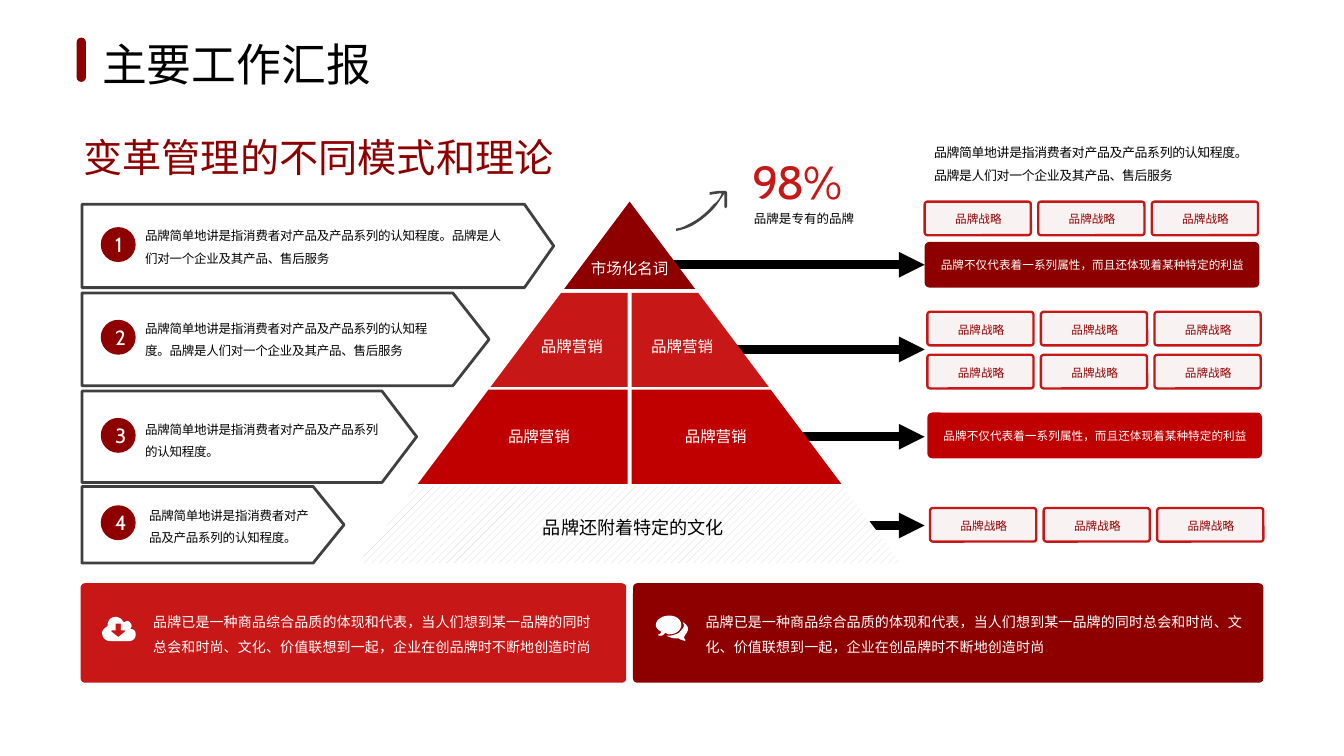
from typing import NamedTuple

from lxml import etree
from pptx import Presentation
from pptx.dml.color import RGBColor
from pptx.enum.dml import MSO_PATTERN
from pptx.enum.shapes import MSO_CONNECTOR, MSO_SHAPE
from pptx.enum.text import MSO_ANCHOR, MSO_AUTO_SIZE, PP_ALIGN
from pptx.oxml.ns import qn
from pptx.util import Inches, Pt

ROUNDED, CHEVRON, OVAL = MSO_SHAPE.ROUNDED_RECTANGLE, MSO_SHAPE.PENTAGON, MSO_SHAPE.OVAL
LEFT, CENTER = PP_ALIGN.LEFT, PP_ALIGN.CENTER
TOP, MIDDLE = MSO_ANCHOR.TOP, MSO_ANCHOR.MIDDLE
FIT, FIXED = MSO_AUTO_SIZE.SHAPE_TO_FIT_TEXT, MSO_AUTO_SIZE.NONE
DARK, RED, BRIGHT, WHITE, BLACK = "8E0000", "C00000", "C71717", "FFFFFF", "000000"
NORMAL, TIGHT = (0.07, 0.03), (0.02, 0.02)

SHORT_TEXT = "品牌简单地讲是指消费者对产品及产品系列的认知程度。"
LONG_TEXT = SHORT_TEXT + "品牌是人们对一个企业及其产品、售后服务"
SUMMARY = ("品牌已是一种商品综合品质的体现和代表，当人们想到某一品牌的同时"
           "总会和时尚、文化、价值联想到一起，企业在创品牌时不断地创造时尚")
BANNER_TEXT = "品牌不仅代表着一系列属性，而且还体现着某种特定的利益"


class Box(NamedTuple):
    left: float
    top: float
    width: float
    height: float


class Step(NamedTuple):
    box: Box
    point: float
    circle_top: float
    text_box: Box
    text: str


class Label(NamedTuple):
    text: str
    box: Box
    size: float = 8.3
    color: str = WHITE


class Panel(NamedTuple):
    box: Box
    color: str
    text_box: Box


STEPS = [
    Step(Box(0.61, 1.52, 3.51, 0.62), 0.351, 1.69, Box(1.01, 1.61, 2.81, 0.4), LONG_TEXT),
    Step(Box(0.61, 2.18, 3.03, 0.69), 0.391, 2.38, Box(1.01, 2.3, 2.33, 0.4), LONG_TEXT),
    Step(Box(0.61, 2.91, 2.49, 0.68), 0.379, 3.11, Box(1.01, 3.05, 1.91, 0.4), SHORT_TEXT),
    Step(Box(0.61, 3.62, 1.95, 0.57), 0.404, 3.76, Box(1.04, 3.69, 1.4, 0.4), SHORT_TEXT),
]
LABELS = [
    Label("市场化名词", Box(4.28, 1.9, 0.81, 0.24)),
    Label("品牌营销", Box(3.85, 2.48, 0.81, 0.24)),
    Label("品牌营销", Box(4.72, 2.48, 0.71, 0.24)),
    Label("品牌营销", Box(3.54, 3.15, 0.94, 0.22)),
    Label("品牌营销", Box(4.92, 3.15, 0.81, 0.22)),
    Label("品牌还附着特定的文化", Box(3.86, 3.81, 1.71, 0.24), 9.7, BLACK),
]
PANELS = [
    Panel(Box(0.6, 4.34, 4.06, 0.74), BRIGHT, Box(1.12, 4.48, 3.34, 0.4)),
    Panel(Box(4.71, 4.34, 4.69, 0.74), DARK, Box(5.23, 4.48, 4.04, 0.4)),
]
TAG_ROWS = [(6.88, 1.5), (6.9, 2.32), (6.9, 2.64), (6.92, 3.78)]

# Icon contours: points, or curves as (control, control, end)
CLOUD = [(0.96, 4.77), (0.82, 4.77), ((0.79, 4.77), (0.76, 4.75), (0.76, 4.71)),
         ((0.76, 4.69), (0.78, 4.67), (0.8, 4.66)), ((0.8, 4.62), (0.82, 4.59), (0.86, 4.59)),
         ((0.89, 4.59), (0.91, 4.61), (0.92, 4.63)), ((0.93, 4.63), (0.94, 4.62), (0.95, 4.62)),
         ((0.96, 4.62), (0.98, 4.64), (0.98, 4.66)), (0.97, 4.68),
         ((1, 4.68), (1.01, 4.7), (1.01, 4.72)), ((1.01, 4.75), (0.99, 4.77), (0.96, 4.77))]
DOWNLOAD = [(0.93, 4.69), (0.9, 4.69), (0.9, 4.64), (0.86, 4.64), (0.86, 4.69),
            (0.83, 4.69), (0.83, 4.7), (0.88, 4.74), (0.93, 4.7)]
FRONT_BUBBLE = [(4.98, 4.72), ((4.97, 4.72), (4.96, 4.71), (4.95, 4.71)),
                ((4.94, 4.72), (4.93, 4.73), (4.92, 4.73)), (4.9, 4.73), (4.9, 4.72),
                ((4.91, 4.72), (4.92, 4.71), (4.92, 4.7)), ((4.9, 4.69), (4.88, 4.67), (4.88, 4.65)),
                ((4.88, 4.61), (4.93, 4.58), (4.98, 4.58)), ((5.03, 4.58), (5.07, 4.61), (5.07, 4.65)),
                ((5.07, 4.69), (5.03, 4.72), (4.98, 4.72))]
BACK_BUBBLE = [(5.09, 4.74), ((5.09, 4.75), (5.09, 4.75), (5.1, 4.76)), (5.1, 4.77),
               ((5.07, 4.76), (5.06, 4.76), (5.05, 4.75)), (5.03, 4.75),
               ((5, 4.75), (4.98, 4.74), (4.96, 4.73)), (4.98, 4.73),
               ((5, 4.73), (5.03, 4.72), (5.05, 4.71)), ((5.07, 4.69), (5.09, 4.67), (5.09, 4.65)),
               (5.08, 4.63), ((5.1, 4.64), (5.12, 4.66), (5.12, 4.68)),
               ((5.12, 4.7), (5.1, 4.72), (5.09, 4.74))]
GROWTH_ARROW = [(5.41, 1.54), (5.41, 1.43), (5.4, 1.42), (5.35, 1.42), (5.28, 1.43), (5.28, 1.45),
                (5.35, 1.44), (5.37, 1.44), ((5.36, 1.47), (5.34, 1.5), (5.31, 1.52)),
                ((5.26, 1.58), (5.2, 1.63), (5.14, 1.66)), ((5.1, 1.68), (5.07, 1.7), (5.03, 1.7)),
                (5.03, 1.72), ((5.07, 1.71), (5.11, 1.7), (5.15, 1.68)),
                ((5.22, 1.64), (5.28, 1.59), (5.33, 1.53)), (5.39, 1.44), (5.39, 1.54), (5.4, 1.55)]


def rgb(color: str) -> RGBColor:
    return RGBColor.from_string(color)


def place(shape, box: Box) -> None:
    shape.left, shape.top, shape.width, shape.height = map(Inches, box)


def write(shape, text: str, *, size: float, color: str, align=LEFT, anchor=TOP, inset=NORMAL,
          fit=FIT, wrap: bool = True, leading: float | None = None, spacing: float = 0) -> None:
    frame = shape.text_frame
    frame.word_wrap, frame.auto_size, frame.vertical_anchor = wrap, fit, anchor
    frame.margin_left = frame.margin_right = Inches(inset[0])
    frame.margin_top = frame.margin_bottom = Inches(inset[1])
    paragraph = frame.paragraphs[0]
    paragraph.alignment, paragraph.line_spacing = align, leading
    run = paragraph.add_run()
    run.text = text
    run.font.name, run.font.size = "Cabin", Pt(size)
    run.font.color.rgb = rgb(color)
    if spacing:
        run.font._element.set("spc", str(round(spacing * 100)))


def add_text(slide, box: Box, text: str, **style) -> None:
    write(slide.shapes.add_textbox(*map(Inches, box)), text, **style)


def add_box(slide, kind, box: Box, *, fill: str | None = None, alpha: int = 100,
            line: str | None = None, weight: float = 1, adjust: float | None = None):
    shape = slide.shapes.add_shape(kind, *map(Inches, box))
    shape.shadow.inherit = False
    if adjust is not None:
        shape.adjustments[0] = adjust
    if fill:
        shape.fill.solid()
        shape.fill.fore_color.rgb = rgb(fill)
        if alpha < 100:
            color = shape.fill._xPr.find(".//" + qn("a:srgbClr"))
            etree.SubElement(color, qn("a:alpha"), val=str(alpha * 1000))
    else:
        shape.fill.background()
    if line:
        shape.line.color.rgb = rgb(line)
        shape.line.width = Pt(weight)
    else:
        shape.line.fill.background()
    return shape


def flatten(contour: list, steps: int = 6) -> list:
    points = [contour[0]]
    for item in contour[1:]:
        if not isinstance(item[0], tuple):
            points.append(item)
            continue
        nodes = (points[-1], *item)
        for index in range(1, steps + 1):
            t = index / steps
            weights = ((1 - t) ** 3, 3 * t * (1 - t) ** 2, 3 * t * t * (1 - t), t ** 3)
            points.append(tuple(sum(w * n[axis] for w, n in zip(weights, nodes)) for axis in (0, 1)))
    return points


def add_outline(slide, *contours: list, fill: str):
    outlines = [[(Inches(x), Inches(y)) for x, y in flatten(contour)] for contour in contours]
    builder = slide.shapes.build_freeform(*outlines[0][0], scale=1.0)
    for index, outline in enumerate(outlines):
        if index:
            builder.move_to(*outline[0])
        builder.add_line_segments(outline[1:], close=True)
    shape = builder.convert_to_shape()
    shape.shadow.inherit = False
    shape.fill.solid()
    shape.fill.fore_color.rgb = rgb(fill)
    shape.line.fill.background()
    return shape


def add_arrow(slide, start: float, y: float, target=None) -> None:
    arrow = slide.shapes.add_connector(MSO_CONNECTOR.STRAIGHT, Inches(start), Inches(y),
                                       Inches(6.88), Inches(y))
    if target is not None:
        arrow.end_connect(target, 1)
        arrow.begin_y = arrow.end_y
    arrow.line.color.rgb = rgb(BLACK)
    arrow.line.width = Pt(4.6)
    etree.SubElement(arrow.line._get_or_add_ln(), qn("a:tailEnd"), type="triangle")
    etree.SubElement(arrow._element.spPr, qn("a:effectLst"))


def add_pyramid(slide) -> None:
    center, apex, seam = 4.685, 1.5, 0.015

    def edge(y: float, side: int) -> tuple:
        return center + side * 0.75 * (y - apex), y

    base = add_outline(slide, [edge(4.19, -1), edge(4.19, 1), edge(3.62, 1), edge(3.62, -1)], fill=WHITE)
    base.fill.patterned()
    base.fill.pattern = MSO_PATTERN.WIDE_UPWARD_DIAGONAL
    base.fill.fore_color.rgb, base.fill.back_color.rgb = rgb("D8D8D8"), rgb(WHITE)
    add_outline(slide, [(center, apex), edge(2.15, -1), edge(2.15, 1)], fill=DARK)
    for top, bottom, color in ((2.9, 3.6, RED), (2.18, 2.88, BRIGHT)):
        for side in (-1, 1):
            inner = center + side * seam
            add_outline(slide, [edge(top, side), edge(bottom, side), (inner, bottom), (inner, top)],
                        fill=color)
    for label in LABELS:
        add_text(slide, label.box, label.text, size=label.size, color=label.color,
                 align=CENTER, fit=FIXED)


def main() -> None:
    presentation = Presentation()
    presentation.slide_width, presentation.slide_height = Inches(10), Inches(10 * 9 / 16)
    slide = presentation.slides.add_slide(presentation.slide_layouts[5])

    # Title and heading
    place(slide.shapes.title, Box(0.66, 0.22, 2.22, 0.5))
    write(slide.shapes.title, "主要工作汇报", size=24, color=BLACK, inset=(0.1, 0.05), wrap=False)
    add_box(slide, ROUNDED, Box(0.57, 0.28, 0.07, 0.33), fill=DARK, adjust=0.5)
    add_text(slide, Box(0.52, 0.97, 3.7, 0.39), "变革管理的不同模式和理论", size=21, color=DARK,
             align=CENTER, inset=TIGHT)

    # Banners, arrows and pyramid
    banners = []
    for left, top, color in ((6.88, 1.8, DARK), (6.9, 3.07, RED)):
        banners.append(add_box(slide, ROUNDED, Box(left, top, 2.49, 0.34), fill=color, adjust=0.106))
        add_text(slide, Box(left + 0.1, top + 0.1, 2.32, 0.25), BANNER_TEXT, size=6.2, color=WHITE,
                 inset=TIGHT)
    add_arrow(slide, 4.96, 1.96, banners[0])
    for start, y in ((5.16, 2.6), (5.62, 3.25), (5.9, 3.91)):
        add_arrow(slide, start, y)
    add_pyramid(slide)

    # Numbered steps
    for number, step in enumerate(STEPS, start=1):
        add_box(slide, CHEVRON, step.box, line="404040", weight=1.5, adjust=step.point)
        circle = add_box(slide, OVAL, Box(0.75, step.circle_top, 0.26, 0.26), fill=DARK)
        write(circle, str(number), size=11, color=WHITE, align=CENTER, anchor=MIDDLE, fit=FIXED)
        add_text(slide, step.text_box, step.text, size=6.75, color=BLACK, leading=1.5, spacing=-0.14)

    # Strategy tags
    for left, top in TAG_ROWS:
        for column in range(3):
            x = left + column * 0.845
            add_box(slide, ROUNDED, Box(x, top, 0.79, 0.25), fill=DARK, alpha=5, line=BRIGHT,
                    weight=1.25, adjust=0.081)
            add_text(slide, Box(x + 0.16, top + 0.06, 0.48, 0.14), "品牌战略", size=6.2, color=DARK,
                     align=CENTER, inset=TIGHT)

    # Summary panels with icons
    for panel in PANELS:
        add_box(slide, ROUNDED, panel.box, fill=panel.color, adjust=0.043)
        add_text(slide, panel.text_box, SUMMARY, size=7.5, color=WHITE, inset=TIGHT, leading=1.5)
    add_outline(slide, CLOUD, DOWNLOAD, fill=WHITE)
    add_outline(slide, FRONT_BUBBLE, BACK_BUBBLE, fill=WHITE)

    # Key figure and note
    add_text(slide, Box(6.88, 0.99, 2.49, 0.4), LONG_TEXT, size=6.9, color=BLACK, leading=1.5,
             spacing=-0.1)
    add_outline(slide, GROWTH_ARROW, fill="434343")
    add_text(slide, Box(5.53, 1.1, 0.88, 0.49), "98%", size=24.8, color=BRIGHT, anchor=MIDDLE,
             spacing=-1.1)
    add_text(slide, Box(5.59, 1.55, 0.87, 0.15), "品牌是专有的品牌", size=6.75, color=BLACK, inset=TIGHT)

    presentation.save("out.pptx")


if __name__ == "__main__":
    main()
